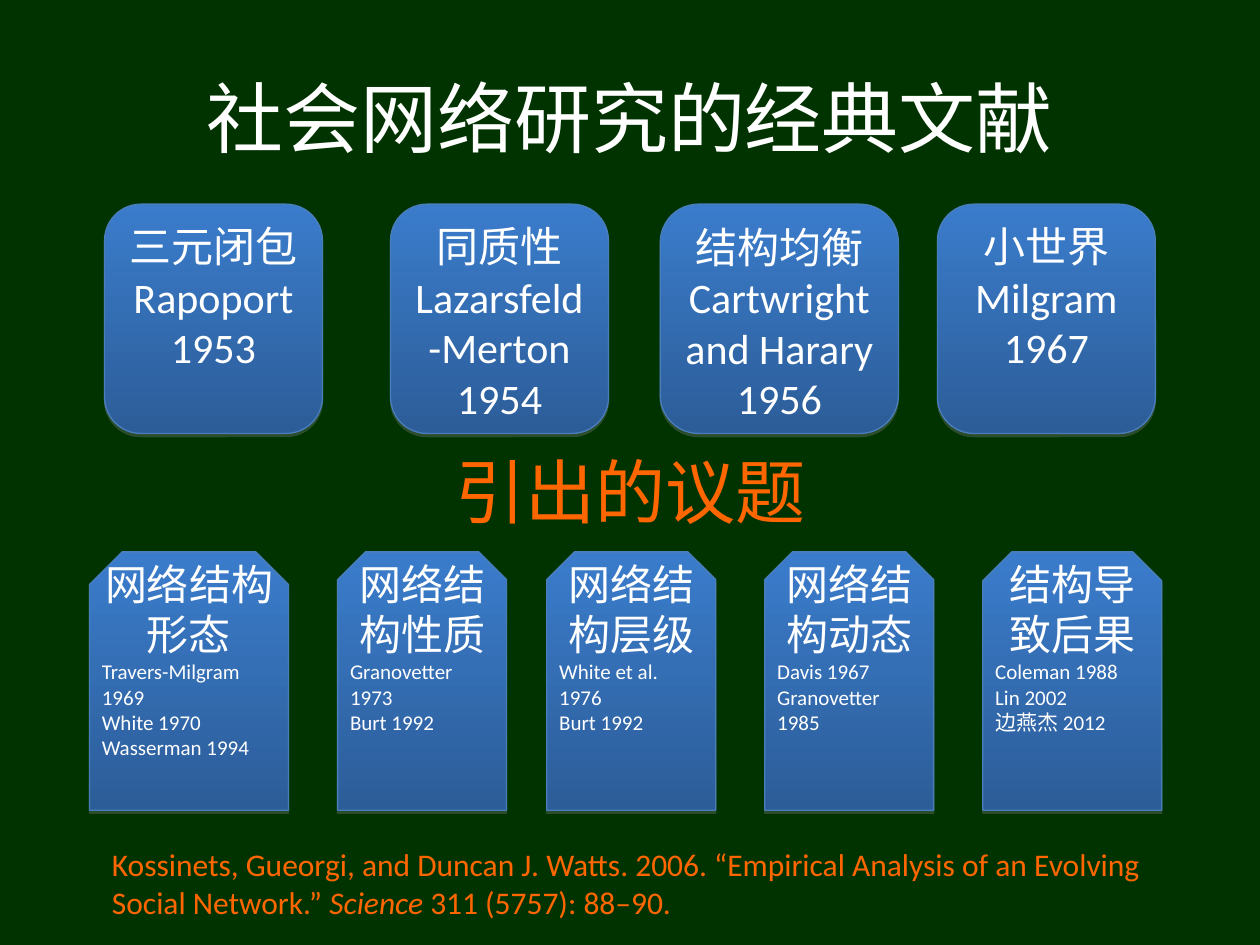
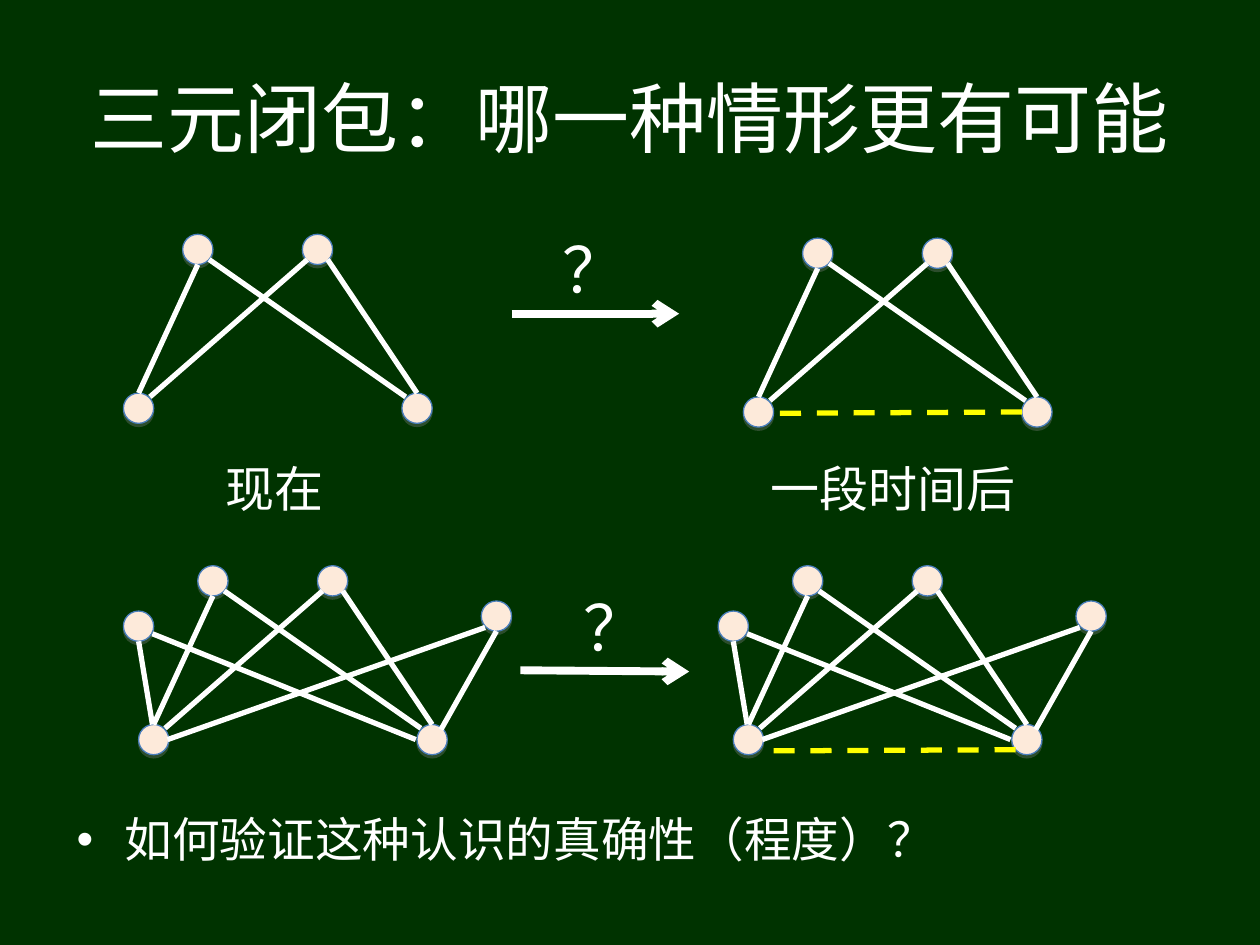
from dataclasses import dataclass
from lxml import etree
from pptx import Presentation
from pptx.dml.color import RGBColor
from pptx.enum.dml import MSO_LINE
from pptx.enum.shapes import MSO_CONNECTOR, MSO_SHAPE
from pptx.enum.text import MSO_ANCHOR, PP_ALIGN
from pptx.oxml import parse_xml
from pptx.oxml.ns import nsdecls, qn
from pptx.util import Pt

PX = 9144
LEFT, CENTER = PP_ALIGN.LEFT, PP_ALIGN.CENTER
TOP, MIDDLE = MSO_ANCHOR.TOP, MSO_ANCHOR.MIDDLE
ROUND, OVAL = MSO_SHAPE.ROUNDED_RECTANGLE, MSO_SHAPE.OVAL
STRAIGHT = MSO_CONNECTOR.STRAIGHT
DASH = MSO_LINE.DASH


@dataclass
class Theme:
    background: str = "003300"
    text: str = "FFFFFF"
    accent: str = "FF6600"
    dashed: str = "FFFF00"
    node: str = "FDEADA"
    outline: str = "4A7EBB"
    card: tuple = ("3A7CCB", "2C5D98")
    cjk: str = "Noto Sans CJK SC"
    body: str = "Calibri"
    plain: str = "Arial"
    title_size: float = 44
    topic_size: float = 40
    mark_size: float = 36
    label_size: float = 28
    bullet_size: float = 27.2
    card_size: float = 24
    citation_size: float = 18
    note_size: float = 12


T = Theme()


def paint(sp, fill):
    if isinstance(fill, tuple):
        sp.fill.gradient()
        sp.fill.gradient_angle = 270
        for stop, color in zip(sp.fill.gradient_stops, fill):
            stop.color.rgb = RGBColor.from_string(color)
    else:
        sp.fill.solid()
        sp.fill.fore_color.rgb = RGBColor.from_string(fill)
    sp.line.color.rgb = RGBColor.from_string(T.outline)
    sp.line.width = Pt(0.75)
    sp.shadow.inherit = False
    sp._element.spPr.find(qn("a:effectLst")).append(parse_xml(
        f'<a:outerShdw {nsdecls("a")} blurRad="0" dist="22860" dir="5400000" rotWithShape="0">'
        '<a:srgbClr val="808080"><a:alpha val="35000"/></a:srgbClr></a:outerShdw>'))


def write(tf, runs, font, size, color=T.text, align=LEFT):
    p = tf.add_paragraph() if tf.paragraphs[0].runs else tf.paragraphs[0]
    p.alignment = align
    for text, italic in runs:
        r = p.add_run()
        r.text = text
        r.font.name = font
        r.font.size = Pt(size)
        r.font.italic = italic
        r.font.color.rgb = RGBColor.from_string(color)
    return p


prs = Presentation()
prs.slide_width, prs.slide_height = 1000 * PX, 750 * PX

slides = []
for title in ["社会网络研究的经典文献", "三元闭包：哪一种情形更有可能"]:
    s = prs.slides.add_slide(prs.slide_layouts[6])
    s.background.fill.solid()
    s.background.fill.fore_color.rgb = RGBColor.from_string(T.background)
    tf = s.shapes.add_textbox(50 * PX, 30 * PX, 900 * PX, 125 * PX).text_frame
    tf.word_wrap = True
    tf.vertical_anchor = MIDDLE
    write(tf, [(title, False)], T.cjk, T.title_size, align=CENTER)
    slides.append(s)
classics, closure = slides

papers = [
    (83, 173, ["三元闭包", "Rapoport 1953"]),
    (310, 173, ["同质性", "Lazarsfeld-Merton 1954"]),
    (524, 189, ["结构均衡Cartwright and Harary 1956"]),
    (744, 173, ["小世界 Milgram 1967"]),
]
for x, w, lines in papers:
    sp = classics.shapes.add_shape(ROUND, x * PX, 162 * PX, w * PX, 182 * PX)
    paint(sp, T.card)
    tf = sp.text_frame
    tf.word_wrap = True
    tf.vertical_anchor = TOP
    for line in lines:
        write(tf, [(line, False)], T.body, T.card_size, align=CENTER)

topics = [
    (71, 158, "网络结构形态", ["Travers-Milgram 1969", "White 1970", "Wasserman 1994"]),
    (268, 134, "网络结构性质", ["Granovetter 1973", "Burt 1992"]),
    (434, 134, "网络结构层级", ["White et al. 1976", "Burt 1992"]),
    (607, 134, "网络结构动态", ["Davis 1967", "Granovetter 1985"]),
    (780, 142, "结构导致后果", ["Coleman 1988", "Lin 2002", "边燕杰 2012"]),
]
top, bottom = 438, 643
for x, w, topic, notes in topics:
    right, snip = x + w, w // 6
    builder = classics.shapes.build_freeform(x + snip, top, scale=PX)
    builder.add_line_segments([(right - snip, top), (right, top + snip), (right, bottom),
                               (x, bottom), (x, top + snip)], close=True)
    sp = builder.convert_to_shape()
    paint(sp, T.card)
    tf = sp.text_frame
    tf.word_wrap = True
    tf.vertical_anchor = TOP
    write(tf, [(topic, False)], T.body, T.card_size, align=CENTER)
    for note in notes:
        write(tf, [(note, False)], T.body, T.note_size)

core_nodes = [(0, 126), (47, 0), (142, 0), (221, 126)]
core_edges = [(12, 126, 59, 24), (21, 129, 146, 20), (224, 129, 68, 20), (233, 126, 162, 20)]
wide_nodes = core_nodes + [(-12, 36), (272, 28)]
wide_edges = core_edges + [(220, 138, 11, 54), (240, 130, 284, 52),
                           (11, 126, 0, 60), (23, 138, 275, 49)]
graphs = [
    (98, 186, core_nodes, core_edges),
    (590, 189, core_nodes, core_edges),
    (110, 449, wide_nodes, wide_edges),
    (582, 449, wide_nodes, wide_edges),
]
links = []
for x, y, nodes, edges in graphs:
    for dx, dy in nodes:
        sp = closure.shapes.add_shape(OVAL, (x + dx) * PX, (y + dy) * PX, 24 * PX, 24 * PX)
        paint(sp, T.node)
    for x1, y1, x2, y2 in edges:
        links.append((x + x1, y + y1, x + x2, y + y2, T.text, 3, None, False))
links += [
    (811, 327, 618, 328, T.dashed, 3, DASH, False),
    (806, 595, 602, 596, T.dashed, 3, DASH, False),
    (406, 249, 539, 249, T.text, 4.5, None, True),
    (413, 532, 547, 533, T.text, 4.5, None, True),
]
for x1, y1, x2, y2, color, width, dash, arrow in links:
    c = closure.shapes.add_connector(STRAIGHT, x1 * PX, y1 * PX, x2 * PX, y2 * PX)
    c.line.color.rgb = RGBColor.from_string(color)
    c.line.width = Pt(width)
    if dash:
        c.line.dash_style = dash
    spPr = c._element.spPr
    if arrow:
        etree.SubElement(spPr.find(qn("a:ln")), qn("a:tailEnd"), type="arrow")
    etree.SubElement(spPr, qn("a:effectLst"))

citation = [
    [("Kossinets, Gueorgi, and Duncan J. Watts. 2006. “Empirical Analysis of an Evolving", False)],
    [("Social Network.” ", False), ("Science", True), (" 311 (5757): 88–90.", False)],
]
labels = [
    (classics, 352, 351, 310, 77, T.plain, T.topic_size, T.accent, [[("引出的议题", False)]]),
    (classics, 79, 666, 860, 70, T.body, T.citation_size, T.accent, citation),
    (closure, 437, 178, 47, 70, T.plain, T.mark_size, T.text, [[("？", False)]]),
    (closure, 453, 462, 47, 70, T.plain, T.mark_size, T.text, [[("？", False)]]),
    (closure, 169, 359, 118, 57, T.cjk, T.label_size, T.text, [[("现在", False)]]),
    (closure, 602, 359, 220, 57, T.cjk, T.label_size, T.text, [[("一段时间后", False)]]),
]
for s, x, y, w, h, font, size, color, lines in labels:
    tf = s.shapes.add_textbox(x * PX, y * PX, w * PX, h * PX).text_frame
    tf.word_wrap = True
    for runs in lines:
        write(tf, runs, font, size, color)

tf = closure.shapes.add_textbox(51 * PX, 643 * PX, 900 * PX, 59 * PX).text_frame
tf.word_wrap = True
p = write(tf, [("如何验证这种认识的真确性（程度）？", False)], T.cjk, T.bullet_size)
p.line_spacing = 0.9
pPr = p._p.get_or_add_pPr()
pPr.set("marL", str(38 * PX))
pPr.set("indent", str(-38 * PX))
etree.SubElement(pPr, qn("a:buFont"), typeface=T.plain)
etree.SubElement(pPr, qn("a:buChar"), char="•")

prs.save("out.pptx")
